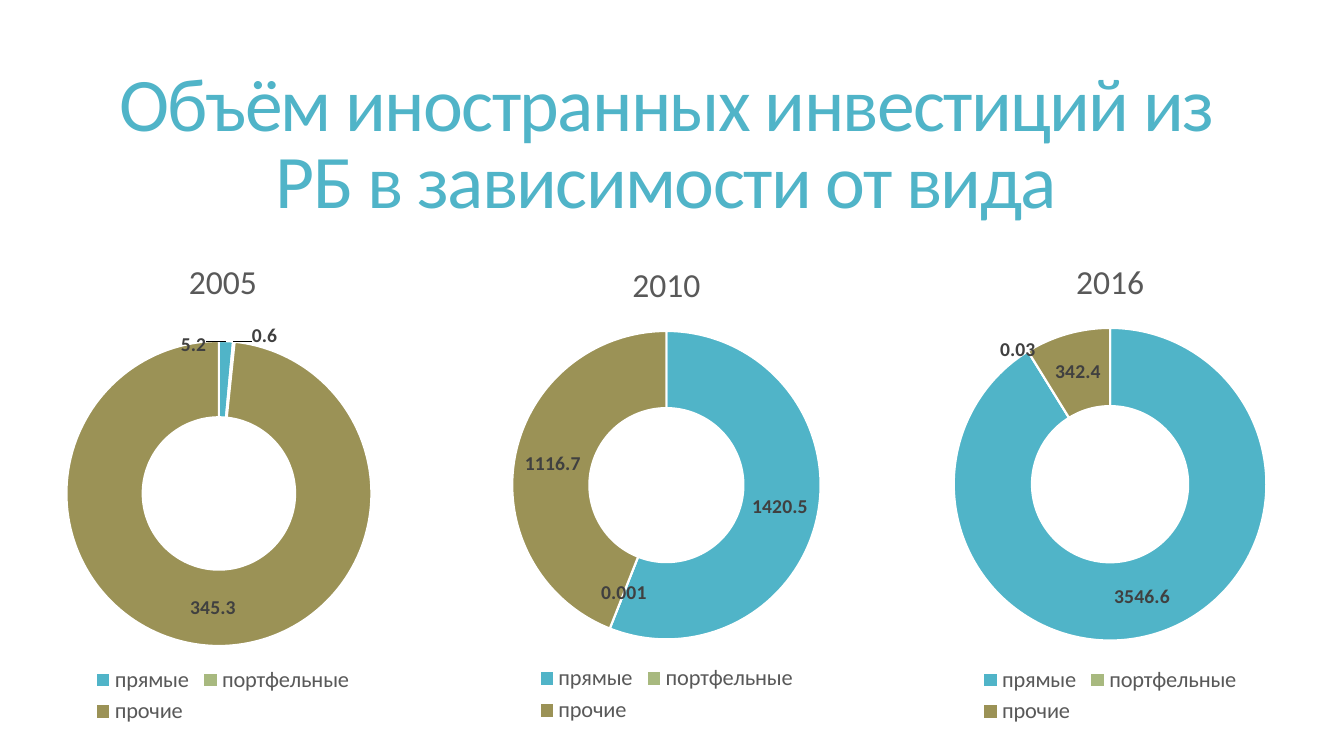
from lxml.etree import SubElement
from pptx import Presentation
from pptx.chart.data import CategoryChartData
from pptx.dml.color import RGBColor
from pptx.enum.chart import XL_CHART_TYPE as ChartType, XL_LEGEND_POSITION as LegendPosition
from pptx.enum.text import MSO_ANCHOR as Anchor, MSO_AUTO_SIZE as AutoSize, PP_ALIGN as Align
from pptx.oxml import parse_xml
from pptx.oxml.ns import nsdecls, qn
from pptx.util import Cm, Pt

# Content
TITLE = "Объём иностранных инвестиций из РБ в зависимости от вида"
KINDS = ["прямые", "портфельные", "прочие"]
YEARS = [
    {"year": "2005", "values": [5.2, 0.6, 345.3], "top": 5.99, "height": 12.4,
     "plot": {"x": 0.09, "y": 0.21, "w": 0.8, "h": 0.62},
     "label_shifts": {0: (-0.08, -0.07), 1: (0.09, -0.09)}},
    {"year": "2010", "values": [1420.5, 0.001, 1116.7], "top": 6.07, "height": 12.29,
     "plot": None, "label_shifts": {}},
    {"year": "2016", "values": [3546.6, 0.03, 342.4], "top": 5.99, "height": 12.4,
     "plot": None, "label_shifts": {1: (-0.08, -0.07)}},
]

# Format
COLORS = {"прямые": "50B4C8", "портфельные": "A8B97F", "прочие": "9B9256",
          "white": "FFFFFF", "black": "000000", "grey": "595959", "label": "404040"}
FONTS = {
    "title": {"size": Pt(54), "bold": False, "color": "прямые"},
    "chart": {"size": Pt(10), "bold": False, "color": "black"},
    "year": {"size": Pt(24), "bold": False, "color": "grey"},
    "legend": {"size": Pt(16), "bold": False, "color": "grey"},
    "label": {"size": Pt(14), "bold": True, "color": "label"},
}
CHART_LEFT, CHART_STEP, CHART_WIDTH = 0.79, 11.18, 9.65


def color(name):
    return RGBColor.from_string(COLORS[name])


def set_font(font, style):
    font.name = "Calibri"
    for key, value in FONTS[style].items():
        if key == "color":
            font.color.rgb = color(value)
        else:
            setattr(font, key, value)


def make_layout(values, inner=False):
    layout = parse_xml(f"<c:layout {nsdecls('c')}><c:manualLayout/></c:layout>")
    manual = layout[0]
    entries = dict(values)
    if inner:
        entries = {"layoutTarget": "inner", "xMode": "edge", "yMode": "edge", **entries}
    for tag, value in entries.items():
        SubElement(manual, qn(f"c:{tag}")).set("val", str(value))
    return layout


def add_title(page):
    title = page.shapes.title
    title.left, title.top, title.width, title.height = Cm(1.83), Cm(1.4), Cm(29.92), Cm(4.6)
    frame = title.text_frame
    frame.word_wrap, frame.auto_size = True, AutoSize.NONE
    frame.vertical_anchor = Anchor.MIDDLE
    para = frame.paragraphs[0]
    para.alignment, para.line_spacing = Align.CENTER, 0.85
    span = para.add_run()
    span.text = TITLE
    set_font(span.font, "title")
    span.font._element.set("spc", "-120")


def add_doughnut(page, left, item):
    data = CategoryChartData()
    data.categories = KINDS
    data.add_series(item["year"], item["values"])
    chart = page.shapes.add_chart(
        ChartType.DOUGHNUT, Cm(left), Cm(item["top"]), Cm(CHART_WIDTH),
        Cm(item["height"]), data).chart
    set_font(chart.font, "chart")

    # Heading and legend
    chart.has_title = True
    heading = chart.chart_title
    heading.include_in_layout = False
    heading.text_frame.text = item["year"]
    set_font(heading.text_frame.paragraphs[0].runs[0].font, "year")
    chart.has_legend = True
    chart.legend.position = LegendPosition.BOTTOM
    chart.legend.include_in_layout = False
    set_font(chart.legend.font, "legend")

    # Ring
    plot = chart.plots[0]
    plot.vary_by_categories = True
    plot._element.find(qn("c:holeSize")).set("val", "75")
    series = plot.series[0]
    for index, kind in enumerate(KINDS):
        form = series.points[index].format
        form.fill.solid()
        form.fill.fore_color.rgb = color(kind)
        form.line.color.rgb = color("white")
        form.line.width = Pt(1.5)

    # Values
    labels = series.data_labels
    labels.show_value = True
    set_font(labels.font, "label")
    for index, (x, y) in item["label_shifts"].items():
        set_font(series.points[index].data_label.font, "label")
    shifts = item["label_shifts"].values()
    for label, (x, y) in zip(series._element.findall(".//" + qn("c:dLbl")), shifts):
        label.insert(1, make_layout({"x": x, "y": y}))

    # Fixed ring area
    if item["plot"]:
        area = plot._element.getparent()
        for old in area.findall(qn("c:layout")):
            area.remove(old)
        area.insert(0, make_layout(item["plot"], inner=True))


def main():
    deck = Presentation()
    deck.slide_width, deck.slide_height = Cm(33.87), Cm(19.05)
    page = deck.slides.add_slide(deck.slide_layouts[5])
    add_title(page)
    for column, item in enumerate(YEARS):
        add_doughnut(page, CHART_LEFT + column * CHART_STEP, item)
    deck.save("out.pptx")


if __name__ == "__main__":
    main()
